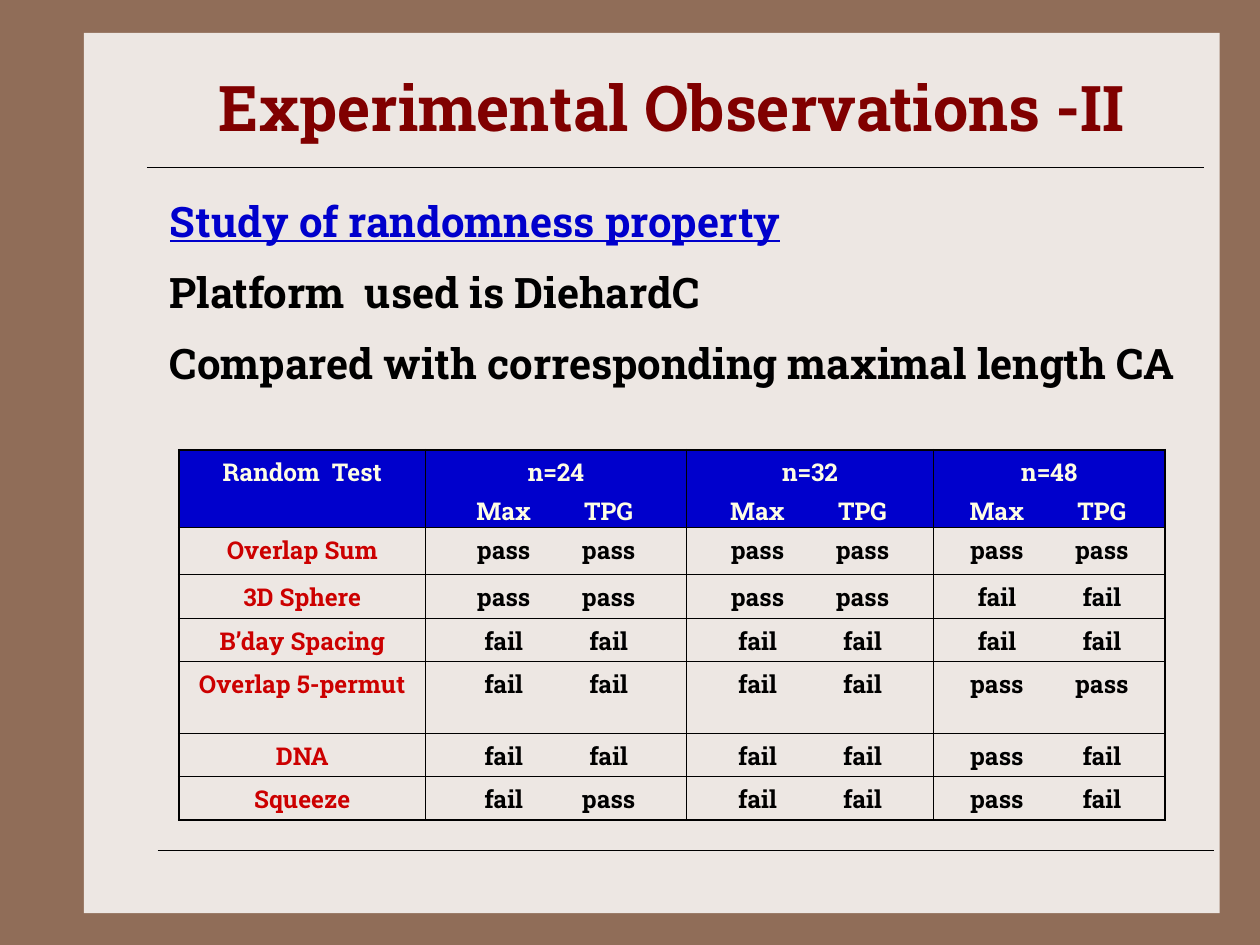
from lxml import etree
from pptx import Presentation
from pptx.dml.color import RGBColor
from pptx.enum.shapes import MSO_CONNECTOR, MSO_SHAPE
from pptx.enum.text import MSO_ANCHOR, PP_ALIGN
from pptx.oxml.ns import qn
from pptx.util import Pt

RECT = MSO_SHAPE.RECTANGLE
STRAIGHT = MSO_CONNECTOR.STRAIGHT
MIDDLE = MSO_ANCHOR.MIDDLE
TOP = MSO_ANCHOR.TOP
LEFT = PP_ALIGN.LEFT
CENTER = PP_ALIGN.CENTER

COLORS = {
    "frame": "906D58",
    "panel": "EDE7E3",
    "title": "800000",
    "blue": "0000CC",
    "red": "CC0000",
    "cream": "FEFDE3",
    "black": "000000",
}
FONT = "Roboto Slab"
INSET = 7.2
PAIR_OFFSET = 30

COL_WIDTHS = [141.12, 149.04, 141.12, 132.48]
ROW_HEIGHTS = [44.64, 26.64, 25.2, 24.48, 41.04, 24.48, 25.2]
SIZES = ["n=24", "n=32", "n=48"]
RESULTS = [
    ("Overlap Sum", "pass pass", "pass pass", "pass pass"),
    ("3D Sphere", "pass pass", "pass pass", "fail fail"),
    ("B’day Spacing", "fail fail", "fail fail", "fail fail"),
    ("Overlap 5-permut", "fail fail", "fail fail", "pass pass"),
    ("DNA", "fail fail", "fail fail", "pass fail"),
    ("Squeeze", "fail pass", "fail fail", "pass fail"),
]


def rgb(name):
    return RGBColor.from_string(COLORS[name])


def add_text(p, text, color, size, align=LEFT, **fmt):
    p.alignment = align
    r = p.add_run()
    r.text = text
    r.font.color.rgb = rgb(color)
    for name, value in {"name": FONT, "size": Pt(size), "bold": True, **fmt}.items():
        setattr(r.font, name, value)


def add_box(s, box, anchor):
    tf = s.shapes.add_textbox(*map(Pt, box)).text_frame
    tf.word_wrap = True
    tf.vertical_anchor = anchor
    return tf


def add_rule(s, x, y, width):
    line = s.shapes.add_connector(STRAIGHT, Pt(x), Pt(y), Pt(x + width), Pt(y))
    line.line.color.rgb = rgb("black")
    line.line.width = Pt(0.75)
    etree.SubElement(line._element.spPr, qn("a:effectLst"))


def add_panel(s, box):
    left, top, width, height = box
    sp = s.shapes.add_shape(RECT, *map(Pt, box))
    sp.shadow.inherit = False
    sp.fill.solid()
    sp.fill.fore_color.rgb = rgb("panel")
    sp.line.fill.background()
    add_rule(s, left + 36, top + 77, 604)
    add_rule(s, left + 42, top + 467.2, 604)


def add_title(s, box):
    tf = add_box(s, box, MIDDLE)
    add_text(tf.paragraphs[0], "Experimental Observations -II", "title", 36, CENTER)


def add_summary(s, box):
    tf = add_box(s, box, TOP)
    add_text(tf.paragraphs[0], "Study of randomness property", "blue", 24, underline=True)
    for text in ("Platform  used is DiehardC", "Compared with corresponding maximal length CA"):
        p = tf.add_paragraph()
        p.space_before = Pt(12)
        add_text(p, text, "black", 24)


def add_pair(p, pair, width, color):
    tabs = etree.SubElement(p._p.get_or_add_pPr(), qn("a:tabLst"))
    middle = width / 2 - INSET
    for pos in (middle - PAIR_OFFSET, middle + PAIR_OFFSET):
        etree.SubElement(tabs, qn("a:tab"), pos=str(int(Pt(pos))), algn="ctr")
    add_text(p, "".join("\t" + word for word in pair.split()), color, 14)


def set_borders(cell, row, col):
    edges = {
        "a:lnL": col == 0,
        "a:lnR": col == len(COL_WIDTHS) - 1,
        "a:lnT": row == 0,
        "a:lnB": row == len(ROW_HEIGHTS) - 1,
    }
    tcPr = cell._tc.get_or_add_tcPr()
    for i, (tag, outer) in enumerate(edges.items()):
        ln = etree.Element(qn(tag), w=str(int(Pt(1.08 if outer else 0.45))))
        fill = etree.SubElement(ln, qn("a:solidFill"))
        etree.SubElement(fill, qn("a:srgbClr"), val=COLORS["black"])
        tcPr.insert(i, ln)


def add_results(s, box):
    shape = s.shapes.add_table(len(ROW_HEIGHTS), len(COL_WIDTHS), *map(Pt, box))
    table = shape.table
    table.horz_banding = False
    for column, width in zip(table.columns, COL_WIDTHS):
        column.width = Pt(width)
    for row, height in zip(table.rows, ROW_HEIGHTS):
        row.height = Pt(height)

    rows = [("Random  Test", *SIZES), *RESULTS]
    for i, row in enumerate(rows):
        for j, text in enumerate(row):
            cell = table.cell(i, j)
            p = cell.text_frame.paragraphs[0]
            if i == 0:
                cell.fill.solid()
                cell.fill.fore_color.rgb = rgb("blue")
                add_text(p, text, "cream", 14, CENTER)
                if j:
                    p = cell.text_frame.add_paragraph()
                    p.space_before = Pt(3.5)
                    add_pair(p, "Max TPG", COL_WIDTHS[j], "cream")
            else:
                cell.fill.background()
                if j:
                    add_pair(p, text, COL_WIDTHS[j], "black")
                else:
                    add_text(p, text, "red", 14, CENTER)
            set_borders(cell, i, j)


def main():
    prs = Presentation()
    prs.slide_width, prs.slide_height = Pt(720), Pt(540)
    s = prs.slides.add_slide(prs.slide_layouts[6])
    s.background.fill.solid()
    s.background.fill.fore_color.rgb = rgb("frame")
    add_panel(s, (48, 18.8, 649, 503))
    add_title(s, (72, 30.2, 624, 61.2))
    add_summary(s, (90, 108, 606, 147))
    add_results(s, (102.2, 257, sum(COL_WIDTHS), sum(ROW_HEIGHTS)))
    prs.save("out.pptx")


if __name__ == "__main__":
    main()
